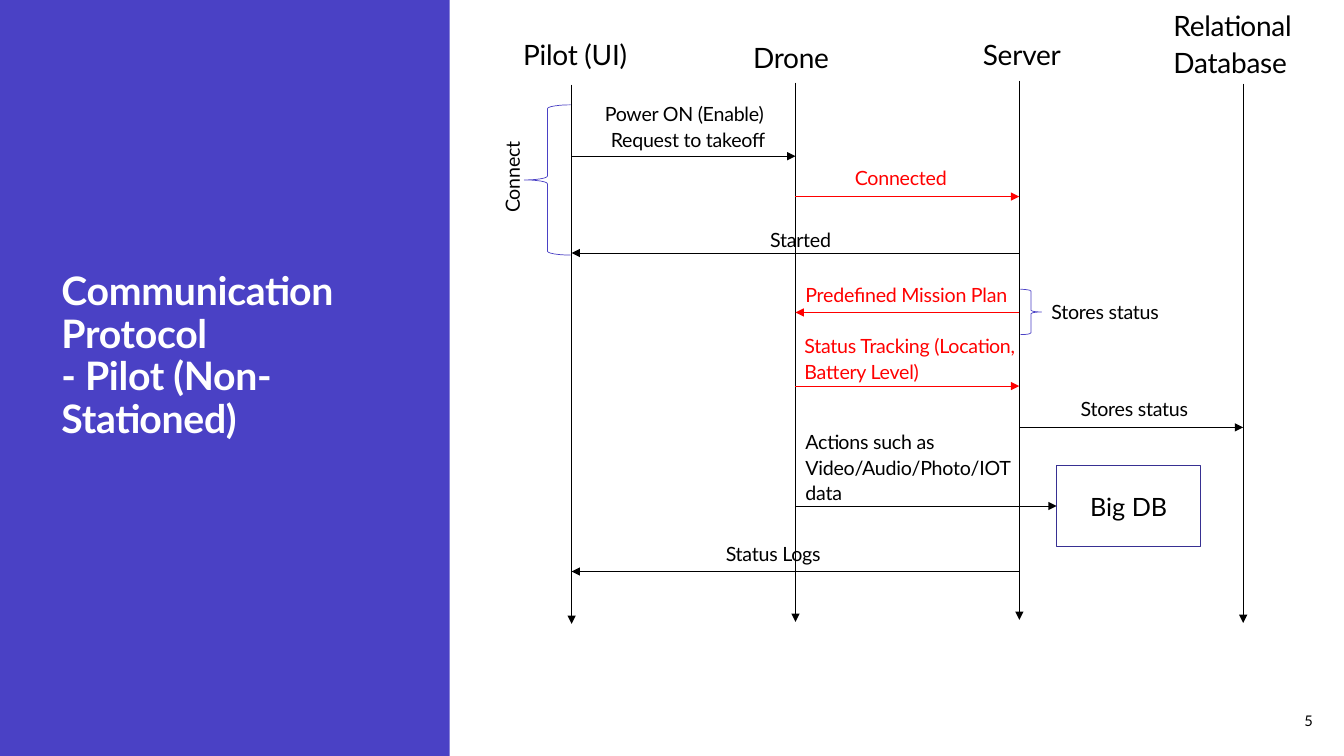
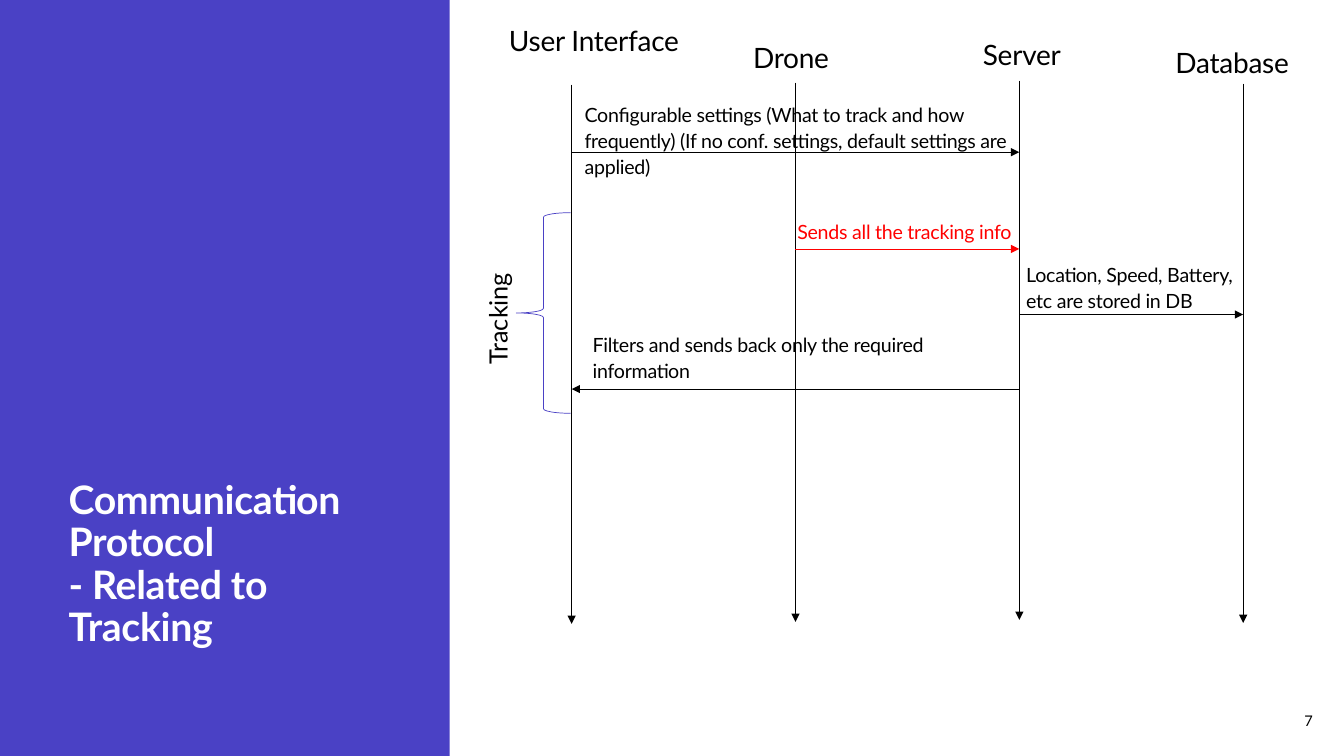
from lxml.etree import SubElement
from pptx import Presentation
from pptx.dml.color import RGBColor
from pptx.enum.shapes import MSO_CONNECTOR, MSO_SHAPE
from pptx.enum.text import MSO_ANCHOR, MSO_AUTO_SIZE, PP_ALIGN
from pptx.oxml.ns import qn
from pptx.util import Inches, Pt

COLORS = {
    "panel": "4A41C5",
    "frame": "373092",
    "text": "000000",
    "highlight": "FF0000",
    "title": "FFFFFF",
}
FONT = "Lato"
PILOT, DRONE, SERVER, DATABASE = range(4)
LIFELINE_TOPS = (0.84, 0.82, 0.8, 0.83)
LIFELINE_LENGTH = 5.35


def color(name):
    """Return the named colour."""
    return RGBColor.from_string(COLORS[name])


def lifeline_x(actor):
    """Return the horizontal place of an actor's lifeline in inches."""
    return round(5.67 + 2.22 * actor, 2)


class SequenceDeck:
    """Holds the shared style and the slide being drawn."""

    def __init__(self):
        """Start a widescreen presentation."""
        self.deck = Presentation()
        self.deck.slide_width = Inches(13.33)
        self.deck.slide_height = Inches(7.5)
        self.slide = None

    def start(self, title, title_box, number, actors):
        """Add a slide with side panel, title, page number and lifelines."""
        self.slide = self.deck.slides.add_slide(self.deck.slide_layouts[5])
        panel = self.outline(MSO_SHAPE.RECTANGLE, (0, 0, 4.46, 7.5), "panel", 0.5)
        panel.fill.solid()
        panel.fill.fore_color.rgb = color("panel")
        panel.line.fill.background()
        self.slide.shapes.element.insert(2, panel.element)

        heading = self.slide.shapes.title
        heading.left, heading.top, heading.width, heading.height = map(Inches, title_box)
        heading.text_frame.auto_size = MSO_AUTO_SIZE.NONE
        heading.text_frame.vertical_anchor = MSO_ANCHOR.BOTTOM
        self.set_text(heading, title, 28, "title", spacing=0.9, before=0, bold=True)

        page = self.label(number, (12.43, 6.95, 0.69, 0.4), size=10.5,
                          spacing=1, before=0, tracking=0, align=PP_ALIGN.RIGHT)
        page.text_frame.vertical_anchor = MSO_ANCHOR.MIDDLE

        for actor, top in enumerate(LIFELINE_TOPS):
            x = lifeline_x(actor)
            self.arrow((x, top), (x, top + LIFELINE_LENGTH))
        for name, box in actors:
            self.label(name, box, size=20)

    def set_text(self, shape, text, size, ink, spacing=1.1, before=10,
                 tracking=-20, bold=False, align=PP_ALIGN.LEFT):
        """Put one styled paragraph in a shape."""
        shape.text_frame.word_wrap = True
        paragraph = shape.text_frame.paragraphs[0]
        paragraph.text = text
        paragraph.alignment = align
        paragraph.line_spacing = spacing
        paragraph.space_before = Pt(before)
        paragraph.font.name = FONT
        paragraph.font.size = Pt(size)
        paragraph.font.bold = bold
        paragraph.font.color.rgb = color(ink)
        if tracking:
            for run in paragraph.runs:
                run._r.get_or_add_rPr().set("spc", str(tracking))

    def label(self, text, box, ink="text", size=14, rotation=0, **style):
        """Add a text label."""
        note = self.slide.shapes.add_textbox(*map(Inches, box))
        note.rotation = rotation
        self.set_text(note, text, size, ink, **style)
        return note

    def outline(self, preset, box, ink, weight):
        """Add an unfilled preset shape."""
        shape = self.slide.shapes.add_shape(preset, *map(Inches, box))
        shape.shadow.inherit = False
        shape.fill.background()
        shape.line.color.rgb = color(ink)
        shape.line.width = Pt(weight)
        return shape

    def brace(self, preset, box):
        """Add a brace that groups messages."""
        self.outline(preset, box, "panel", 0.5)

    def arrow(self, start, end, ink="text"):
        """Add a thin line with an arrowhead at its end."""
        line = self.slide.shapes.add_connector(
            MSO_CONNECTOR.STRAIGHT, *map(Inches, (*start, *end)))
        line.line.color.rgb = color(ink)
        line.line.width = Pt(0.5)
        properties = line.element.spPr
        SubElement(properties.find(qn("a:ln")), qn("a:tailEnd"), type="triangle")
        SubElement(properties, qn("a:effectLst"))
        return line

    def message(self, sender, receiver, y, text, box, ink="text"):
        """Add a labelled arrow from one lifeline to another."""
        self.arrow((lifeline_x(sender), y), (lifeline_x(receiver), y), ink)
        self.label(text, box, ink)

    def store(self, sender, name, box, text, text_box):
        """Add a framed data store and the arrow that feeds it."""
        frame = self.outline(MSO_SHAPE.RECTANGLE, box, "frame", 1)
        self.set_text(frame, name, 18, "text", spacing=1, before=0, tracking=0,
                      align=PP_ALIGN.CENTER)
        left, top, _, height = box
        y = top + height / 2
        feed = self.arrow((lifeline_x(sender), y), (left, y))
        feed.end_connect(frame, 1)
        self.label(text, text_box)


def pilot_slide(deck):
    """Draw the protocol of the non-stationed pilot."""
    deck.start(
        "Communication Protocol\v- Pilot (Non- Stationed)", (0.51, 2.23, 3.51, 2.2), "5",
        [("Pilot (UI)", (5.09, 0.29, 1.3, 0.45)),
         ("Drone", (7.37, 0.32, 1.01, 0.45)),
         ("Server", (9.65, 0.29, 1.01, 0.45)),
         ("Relational Database", (11.54, 0, 1.54, 0.82))])
    deck.label("Power ON (Enable)", (5.9, 0.94, 1.87, 0.34))
    for message in (
        (PILOT, DRONE, 1.55, "Request to takeoff", (5.96, 1.2, 1.77, 0.34)),
        (DRONE, SERVER, 1.95, "Connected", (8.38, 1.57, 1.2, 0.34), "highlight"),
        (SERVER, PILOT, 2.51, "Started", (7.54, 2.19, 0.98, 0.34)),
        (SERVER, DRONE, 3.1, "Predefined Mission Plan",
         (7.89, 2.73, 2.33, 0.34), "highlight"),
        (DRONE, SERVER, 3.83, "Status Tracking (Location, Battery Level)",
         (7.88, 3.24, 2.33, 0.6), "highlight"),
        (SERVER, DATABASE, 4.24, "Stores status", (10.62, 3.87, 1.29, 0.34)),
        (SERVER, PILOT, 5.67, "Status Logs", (7.1, 5.3, 1.28, 0.34)),
    ):
        deck.message(*message)
    deck.store(DRONE, "Big DB", (10.48, 4.62, 1.43, 0.8),
               "Actions such as Video/Audio/Photo/IOT data", (7.89, 4.19, 2.33, 0.86))
    deck.brace(MSO_SHAPE.LEFT_BRACE, (5.2, 1.04, 0.46, 1.49))
    deck.label("Connect", (4.57, 1.55, 0.98, 0.34), rotation=270)
    deck.brace(MSO_SHAPE.RIGHT_BRACE, (10.12, 2.87, 0.21, 0.45))
    deck.label("Stores status", (10.33, 2.9, 1.29, 0.34))


def tracking_slide(deck):
    """Draw the protocol related to tracking."""
    deck.start(
        "Communication Protocol\v- Related to Tracking", (0.58, 0.85, 3.51, 5.65), "7",
        [("User Interface", (4.95, 0.15, 2.1, 0.45)),
         ("Drone", (7.37, 0.32, 1.01, 0.45)),
         ("Server", (9.65, 0.29, 1.01, 0.45)),
         ("Database", (11.56, 0.37, 1.54, 0.45))])
    for message in (
        (PILOT, SERVER, 1.51,
         "Configurable settings (What to track and how frequently) "
         "(If no conf. settings, default settings are applied)",
         (5.7, 0.95, 4.4, 0.86)),
        (DRONE, SERVER, 2.47, "Sends all the tracking info",
         (7.81, 2.11, 2.43, 0.34), "highlight"),
        (SERVER, DATABASE, 3.12, "Location, Speed, Battery, etc are stored in DB",
         (10.08, 2.54, 2.43, 0.6)),
        (SERVER, PILOT, 3.86, "Filters and sends back only the required information",
         (5.78, 3.23, 4.4, 0.6)),
    ):
        deck.message(*message)
    deck.brace(MSO_SHAPE.LEFT_BRACE, (5.12, 2.11, 0.54, 1.99))
    deck.label("Tracking", (4.35, 2.93, 1.17, 0.4), size=18, rotation=270,
               spacing=1, before=0, tracking=0)


def main():
    """Build and save the presentation."""
    deck = SequenceDeck()
    pilot_slide(deck)
    tracking_slide(deck)
    deck.deck.save("out.pptx")


if __name__ == "__main__":
    main()
